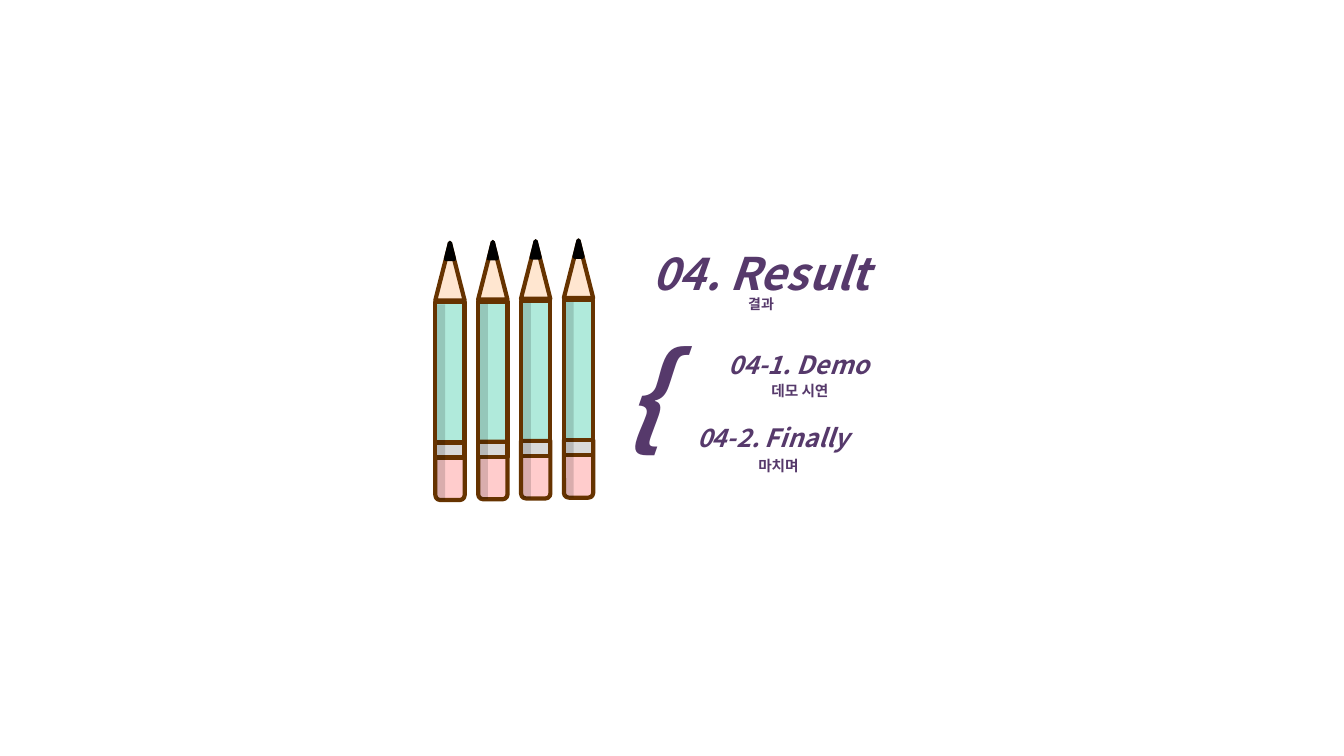
from typing import NamedTuple

from lxml.etree import SubElement
from pptx import Presentation
from pptx.dml.color import RGBColor
from pptx.enum.shapes import MSO_SHAPE
from pptx.enum.text import MSO_ANCHOR, MSO_AUTO_SIZE, PP_ALIGN
from pptx.oxml.ns import qn
from pptx.util import Cm, Pt

FONT = "Noto Sans CJK KR"
COLORS = {
    "text": "56396B", "outline": "663300", "body": "B0EADB", "eraser": "FFCCCC",
    "ferrule": "D9D9D9", "wood": "FFE6D0", "lead": "000000", "shade": "000000",
}


class Line(NamedTuple):
    text: str
    size: float
    italic: bool = False
    spacing: float | None = None


class Label(NamedTuple):
    line: Line
    left: float
    top: float
    width: float
    height: float
    align: PP_ALIGN = PP_ALIGN.CENTER


class Part(NamedTuple):
    kind: MSO_SHAPE
    fill: str
    left: float
    top: float
    width: float
    height: float
    outline: str | None = "outline"
    rotation: int = 0
    alpha: int = 100


TITLE = [Line("04. Result", 32, True), Line("결과", 10, spacing=9.4)]
LABELS = [
    Label(Line("04-1. Demo", 18, True), 16.23, 8.56, 7.82, 1.27),
    Label(Line("04-2. Finally", 18, True), 15.57, 10.39, 7.82, 1.27),
    Label(Line("데모 시연", 10.5), 17.58, 9.42, 5.16, 0.86),
    Label(Line("마치며", 10.5), 17.04, 11.3, 5.16, 0.86),
    Label(Line("{", 80, True), 15.49, 7.65, 1.52, 4.45, PP_ALIGN.LEFT),
]

# Pencil parts, measured from the top left of the pencil
PENCIL = [
    Part(MSO_SHAPE.RECTANGLE, "body", 0, 1.5, 0.74, 3.53),
    Part(MSO_SHAPE.ROUND_2_SAME_RECTANGLE, "eraser", 0, 5.03, 0.74, 1.45, rotation=180),
    Part(MSO_SHAPE.RECTANGLE, "ferrule", 0, 5.03, 0.74, 0.38),
    Part(MSO_SHAPE.ISOSCELES_TRIANGLE, "wood", 0, 0, 0.74, 1.45),
    Part(MSO_SHAPE.ISOSCELES_TRIANGLE, "lead", 0.27, 0, 0.2, 0.41, "lead"),
    Part(MSO_SHAPE.RECTANGLE, "shade", 0.05, 1.55, 0.2, 4.93, None, alpha=15),
]
PENCIL_COUNT, PENCIL_LEFT, PENCIL_TOP = 4, 10.97, 6.12
PENCIL_PITCH, PENCIL_RISE = 1.08, 0.02


def rgb(name: str) -> RGBColor:
    return RGBColor.from_string(COLORS[name])


def write(sp, lines: list[Line], align: PP_ALIGN = PP_ALIGN.CENTER) -> None:
    tf = sp.text_frame
    tf.word_wrap = True
    tf.auto_size = MSO_AUTO_SIZE.NONE
    tf.vertical_anchor = MSO_ANCHOR.MIDDLE
    for i, line in enumerate(lines):
        p = tf.add_paragraph() if i else tf.paragraphs[0]
        p.text, p.alignment = line.text, align
        if line.spacing:
            p.line_spacing = Pt(line.spacing)
        p.font.name, p.font.size = FONT, Pt(line.size)
        p.font.bold, p.font.italic = True, line.italic
        p.font.color.rgb = rgb("text")
        # East Asian typeface for the Korean text
        props = p._p.pPr.find(qn("a:defRPr"))
        SubElement(props, qn("a:ea"), typeface=FONT)


def draw_part(shapes, part: Part, left: float, top: float) -> None:
    sp = shapes.add_shape(part.kind, Cm(left + part.left), Cm(top + part.top),
                          Cm(part.width), Cm(part.height))
    sp.shadow.inherit = False
    sp.rotation = part.rotation
    sp.fill.solid()
    sp.fill.fore_color.rgb = rgb(part.fill)
    if part.alpha < 100:
        color = sp._element.spPr.find(f"{qn('a:solidFill')}/{qn('a:srgbClr')}")
        SubElement(color, qn("a:alpha"), val=str(part.alpha * 1000))
    if part.outline:
        sp.line.color.rgb = rgb(part.outline)
        sp.line.width = Pt(3)
        SubElement(sp._element.spPr.find(qn("a:ln")), qn("a:round"))
    else:
        sp.line.fill.background()


prs = Presentation()
prs.slide_width, prs.slide_height = Cm(33.87), Cm(19.05)
s = prs.slides.add_slide(prs.slide_layouts[5])

# Title with its Korean subtitle
title = s.shapes.title
title.left, title.top, title.width, title.height = Cm(14), Cm(5.89), Cm(10.36), Cm(2.29)
write(title, TITLE)

# Section labels and brace
for label in LABELS:
    box = s.shapes.add_textbox(Cm(label.left), Cm(label.top), Cm(label.width), Cm(label.height))
    write(box, [label.line], label.align)

# Row of pencils, each a little higher than the one before
for i in range(PENCIL_COUNT):
    pencil = s.shapes.add_group_shape()
    for part in PENCIL:
        draw_part(pencil.shapes, part, PENCIL_LEFT + i * PENCIL_PITCH, PENCIL_TOP - i * PENCIL_RISE)

prs.save("out.pptx")
